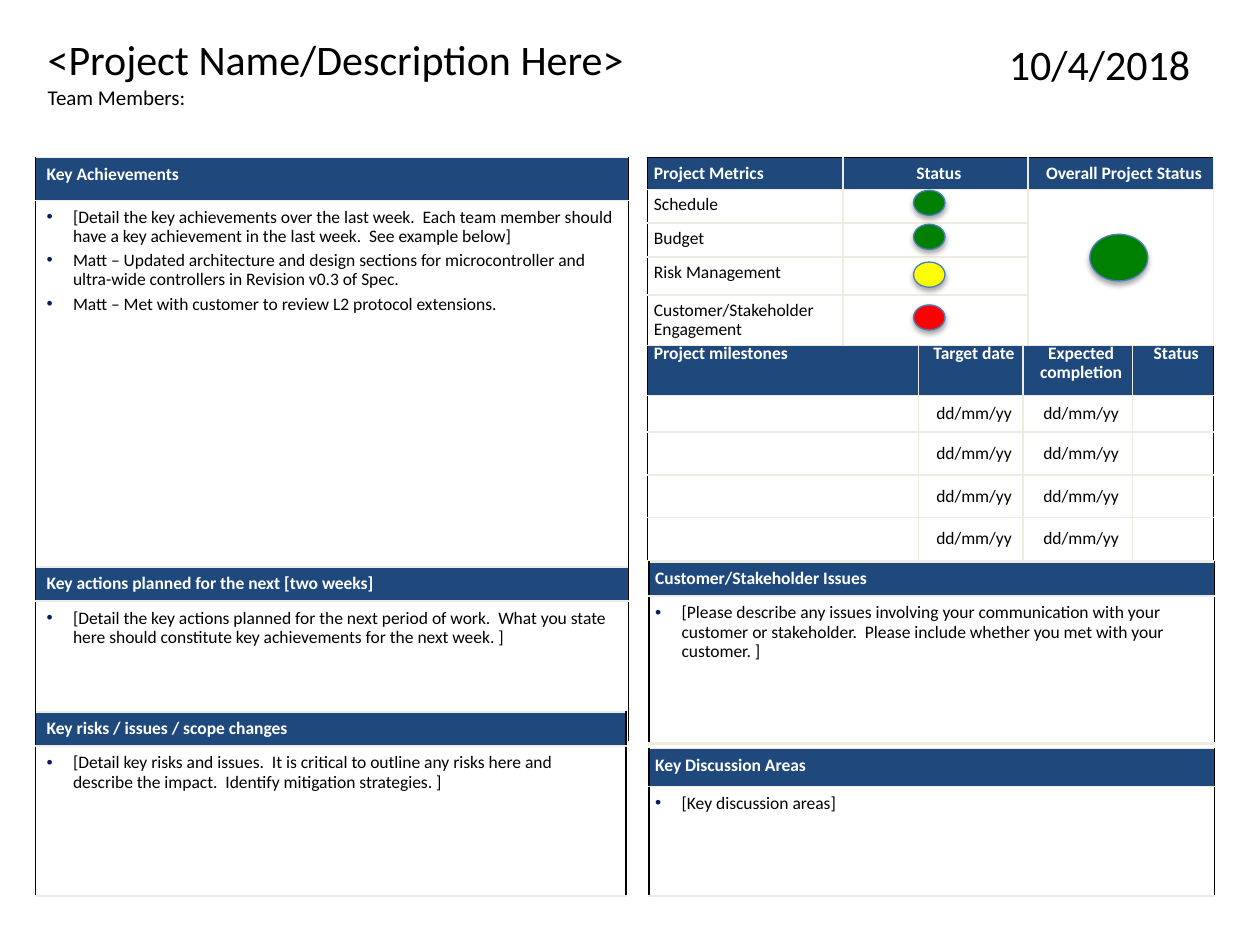
from lxml import etree
from pptx import Presentation
from pptx.dml.color import RGBColor
from pptx.enum.shapes import MSO_SHAPE
from pptx.enum.text import MSO_ANCHOR, MSO_AUTO_SIZE, PP_ALIGN
from pptx.oxml.ns import qn
from pptx.util import Inches, Pt

FONT = "Calibri"
NAVY = RGBColor(0x1F, 0x49, 0x7D)
CREAM = RGBColor(0xEE, 0xEC, 0xE1)
WHITE = RGBColor(0xFF, 0xFF, 0xFF)
BLACK = RGBColor(0, 0, 0)
BULLET = RGBColor(0x0A, 0x1B, 0x5F)
OUTLINE = RGBColor(0x4B, 0x7E, 0xBC)
GREEN = RGBColor(0, 0x80, 0)
YELLOW = RGBColor(0xFF, 0xFF, 0)
RED = RGBColor(0xFF, 0, 0)

PANEL_MARGINS = (0.09, 0.06, 0.09, 0.06)
SIDE_MARGINS = (0.05, 0.06, 0.05, 0.06)
GRID_MARGINS = (0.05, 0.05, 0, 0.05)


def child(parent, tag, **attrs):
    return etree.SubElement(parent, qn(tag), {k: str(v) for k, v in attrs.items()})


def add_run(paragraph, text, size, color, bold=False):
    run = paragraph.add_run()
    run.text = text
    run.font.name, run.font.size, run.font.bold = FONT, Pt(size), bold
    run.font.color.rgb = color


def add_bullet(paragraph):
    props = paragraph._p.get_or_add_pPr()
    props.set("marL", str(Inches(0.21)))
    props.set("indent", str(-Inches(0.21)))
    child(child(props, "a:buClr"), "a:srgbClr", val=BULLET)
    child(props, "a:buFont", typeface="Arial")
    child(props, "a:buChar", char="•")


def set_borders(cell, left=CREAM, right=CREAM, top=CREAM, bottom=CREAM, bottom_width=1):
    props = cell._tc.get_or_add_tcPr()
    sides = (("L", left, 1), ("R", right, 1), ("T", top, 1), ("B", bottom, bottom_width))
    for side, color, width in sides:
        line = child(props, "a:ln" + side, w=Pt(width))
        child(child(line, "a:solidFill"), "a:srgbClr", val=color)


def fill_cell(cell, texts, margins, header=False, bullets=False, align=PP_ALIGN.LEFT,
              anchor=MSO_ANCHOR.TOP, **borders):
    set_borders(cell, **borders)
    cell.fill.solid()
    cell.fill.fore_color.rgb = NAVY if header else WHITE
    cell.margin_left, cell.margin_top, cell.margin_right, cell.margin_bottom = map(Inches, margins)
    cell.vertical_anchor = anchor
    frame = cell.text_frame
    for i, text in enumerate(texts):
        paragraph = frame.paragraphs[0] if i == 0 else frame.add_paragraph()
        paragraph.alignment = align
        paragraph.line_spacing = 0.9
        paragraph.space_before = Pt(3)
        if bullets:
            add_bullet(paragraph)
        if text:
            add_run(paragraph, text, 10, WHITE if header else BLACK, header)
        else:
            child(paragraph._p, "a:endParaRPr", sz=1000)


def add_grid(slide, left, top, widths, heights):
    frame = slide.shapes.add_table(len(heights), len(widths), Inches(left), Inches(top),
                                   Inches(sum(widths)), Inches(sum(heights)))
    table = frame.table
    table.first_row = table.horz_banding = False
    for column, width in zip(table.columns, widths):
        column.width = Inches(width)
    for row, height in zip(table.rows, heights):
        row.height = Inches(height)
    return table


def add_panel(slide, left, top, width, heights, margins, title, items):
    table = add_grid(slide, left, top, [width], heights)
    sides = dict(left=BLACK, right=BLACK)
    fill_cell(table.cell(0, 0), [title], margins, header=True, **sides)
    fill_cell(table.cell(1, 0), items, margins, bullets=True, bottom_width=1.5, **sides)


def add_milestones(slide):
    table = add_grid(slide, 5.14, 2.68, [2.15, 0.83, 0.87, 0.64], [0.46, 0.29] + [0.34] * 3)
    rows = [["Project milestones ", "Target date", "Expected completion", "Status"]]
    rows += [["", "dd/mm/yy", "dd/mm/yy", ""]] * 4
    for r, row in enumerate(rows):
        for c, text in enumerate(row):
            fill_cell(table.cell(r, c), [text], GRID_MARGINS, header=r == 0,
                      align=PP_ALIGN.CENTER if c else PP_ALIGN.LEFT,
                      anchor=MSO_ANCHOR.MIDDLE if r else MSO_ANCHOR.TOP,
                      left=CREAM if c else BLACK, right=BLACK if c == 3 else CREAM,
                      top=CREAM if r else BLACK)


def add_metrics(slide):
    table = add_grid(slide, 5.14, 1.25, [1.55, 1.47, 1.47], [0.25, 0.26, 0.26, 0.3, 0.4])
    rows = [["Project Metrics", "Status", "Overall Project Status"]]
    rows += [[name, "", ""] for name in ("Schedule", "Budget", "Risk Management",
                                         "Customer/Stakeholder Engagement")]
    for r, row in enumerate(rows):
        for c, text in enumerate(row):
            fill_cell(table.cell(r, c), [text], GRID_MARGINS, header=r == 0,
                      align=PP_ALIGN.CENTER if c else PP_ALIGN.LEFT,
                      left=CREAM if c else BLACK, top=CREAM if r else BLACK)
    table.cell(1, 2).merge(table.cell(4, 2))


def add_text(slide, left, top, width, height, lines, align=PP_ALIGN.LEFT):
    frame = slide.shapes.add_textbox(Inches(left), Inches(top), Inches(width),
                                     Inches(height)).text_frame
    frame.word_wrap = True
    frame.auto_size = MSO_AUTO_SIZE.SHAPE_TO_FIT_TEXT
    for i, (text, size) in enumerate(lines):
        paragraph = frame.paragraphs[0] if i == 0 else frame.add_paragraph()
        paragraph.alignment = align
        add_run(paragraph, text, size, BLACK)


def add_light(slide, left, top, width, height, color):
    light = slide.shapes.add_shape(MSO_SHAPE.OVAL, Inches(left), Inches(top),
                                   Inches(width), Inches(height))
    light.fill.solid()
    light.fill.fore_color.rgb = color
    light.line.color.rgb = OUTLINE
    light.line.width = Pt(0.75)
    light.shadow.inherit = False
    effects = light._element.spPr.find(qn("a:effectLst"))
    shadow = child(effects, "a:outerShdw", blurRad=Pt(3.1), dist=Pt(1.8),
                   dir=90 * 60000, rotWithShape=0)
    child(child(shadow, "a:srgbClr", val=BLACK), "a:alpha", val=35000)


def main():
    prs = Presentation()
    prs.slide_width, prs.slide_height = Inches(10), Inches(7.5)
    slide = prs.slides.add_slide(prs.slide_layouts[6])

    # Left column
    add_panel(slide, 0.28, 1.25, 4.71, [0.34, 2.92], PANEL_MARGINS, "Key Achievements", [
        "[Detail the key achievements over the last week.  Each team member should have "
        "a key achievement in the last week.  See example below] ",
        "Matt – Updated architecture and design sections for microcontroller and "
        "ultra-wide controllers in Revision v0.3 of Spec. ",
        "Matt – Met with customer to review L2 protocol extensions.  "])
    add_panel(slide, 0.28, 4.5, 4.71, [0.27, 1.12], PANEL_MARGINS,
              "Key actions planned for the next [two weeks] ", [
                  "[Detail the key actions planned for the next period of work.  What you state "
                  "here should constitute key achievements for the next week. ]"])
    add_panel(slide, 0.28, 5.65, 4.69, [0.27, 1.19], PANEL_MARGINS,
              "Key risks / issues / scope changes", [
                  "[Detail key risks and issues.  It is critical to outline any risks here and "
                  "describe the impact.  Identify mitigation strategies. ]"])

    # Right column
    add_milestones(slide)
    add_metrics(slide)
    add_panel(slide, 5.15, 4.46, 4.49, [0.27, 1.17], SIDE_MARGINS,
              "Customer/Stakeholder Issues", [
                  "[Please describe any issues involving your communication with your customer "
                  "or stakeholder.  Please include whether you met with your customer. ]"])
    add_panel(slide, 5.15, 5.94, 4.49, [0.3, 0.87], SIDE_MARGINS,
              "Key Discussion Areas", ["[Key discussion areas]"])

    # Heading and date
    add_text(slide, 0.28, 0.22, 6.89, 0.71,
             [("<Project Name/Description Here>", 24), ("Team Members: ", 12)])
    add_text(slide, 6.15, 0.26, 3.47, 0.5, [("10/4/2018 ", 24)], PP_ALIGN.RIGHT)

    # Status lights
    for top, color in ((1.51, GREEN), (1.78, GREEN), (2.08, YELLOW), (2.42, RED)):
        add_light(slide, 7.25, top, 0.25, 0.2, color)
    add_light(slide, 8.65, 1.86, 0.46, 0.37, GREEN)

    prs.save("out.pptx")


main()
